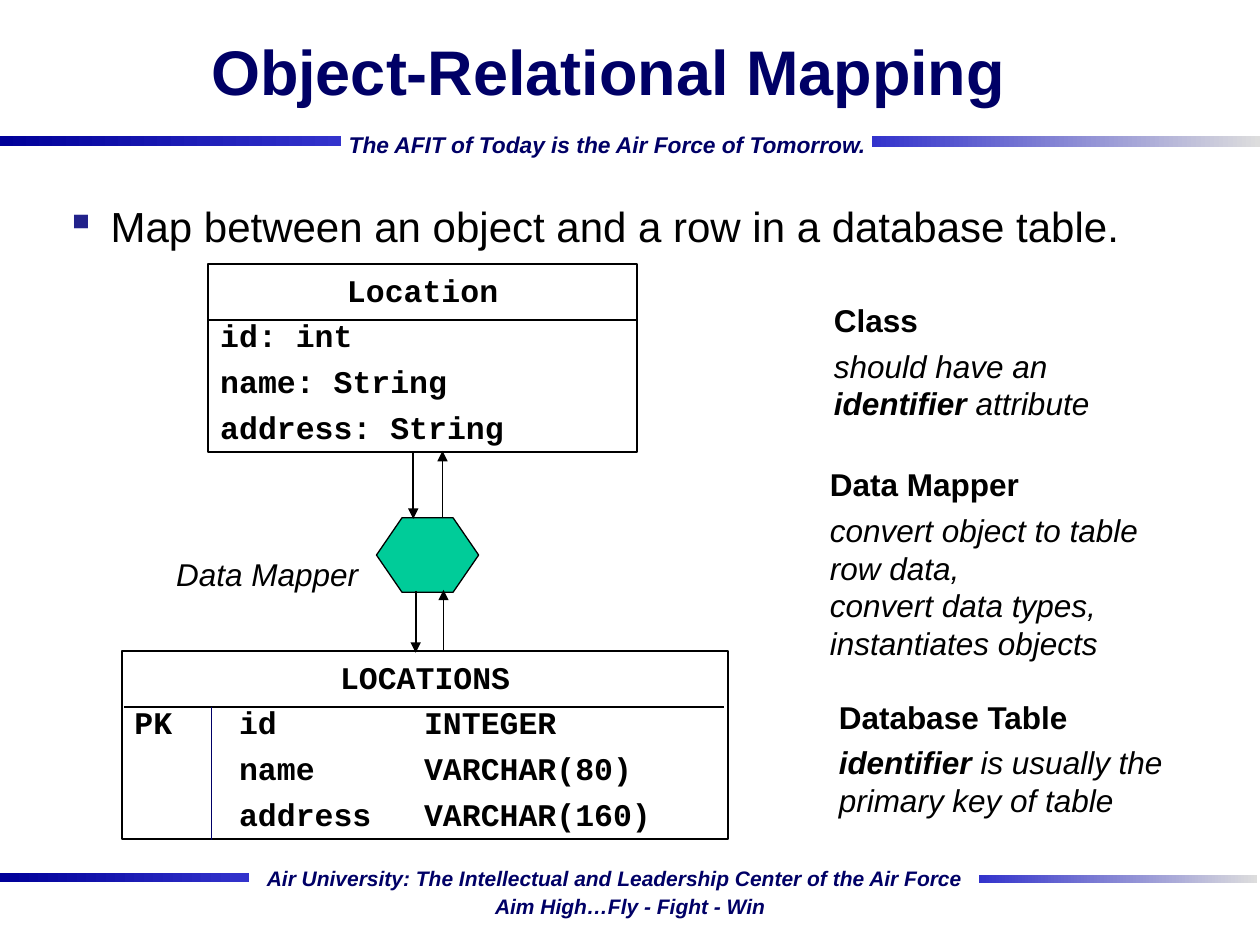
from dataclasses import dataclass

from lxml import etree
from pptx import Presentation
from pptx.dml.color import RGBColor
from pptx.enum.shapes import MSO_CONNECTOR, MSO_SHAPE
from pptx.enum.text import MSO_ANCHOR, PP_ALIGN
from pptx.oxml.ns import qn
from pptx.util import Cm, Pt

LEFT, MID, RIGHT = PP_ALIGN.LEFT, PP_ALIGN.CENTER, PP_ALIGN.RIGHT
TOP, CENTER = MSO_ANCHOR.TOP, MSO_ANCHOR.MIDDLE
RECT, HEX = MSO_SHAPE.RECTANGLE, MSO_SHAPE.HEXAGON
STRAIGHT = MSO_CONNECTOR.STRAIGHT


@dataclass(frozen=True)
class Theme:
    sans: str = "Arial"
    mono: str = "Courier New"
    ink: str = "000000"
    navy: str = "000066"
    deep: str = "000099"
    blue: str = "3333CC"
    pale: str = "DDDDDD"
    green: str = "00CC99"
    dot: str = "22228B"
    title: float = 36
    body: float = 24
    label: float = 18
    motto: float = 13
    foot: float = 12
    gap: float = 4.5


T = Theme()


@dataclass(frozen=True)
class Area:
    """Left, top, width and height in centimetres."""
    x: float
    y: float
    w: float
    h: float

    def cm(self) -> tuple:
        return Cm(self.x), Cm(self.y), Cm(self.w), Cm(self.h)


@dataclass(frozen=True)
class Para:
    """Text, or a tuple of (text, bold) runs, with its style."""
    text: str | tuple
    size: float = T.label
    face: str = T.sans
    color: str = T.ink
    bold: bool = False
    ital: bool = False
    align: int = LEFT
    tabs: tuple = ()
    dot: str = ""


def rgb(code: str) -> RGBColor:
    return RGBColor.from_string(code)


def add_tag(parent, tag: str, **attrs):
    return etree.SubElement(parent, qn(tag), attrs)


def write(frame, paras: list, anchor=TOP, wrap: bool = True) -> None:
    frame.word_wrap = wrap
    frame.vertical_anchor = anchor
    for i, item in enumerate(paras):
        para = frame.add_paragraph() if i else frame.paragraphs[0]
        props = para._p.get_or_add_pPr()
        if item.dot:
            props.set("marL", str(Cm(0.91)))
            props.set("indent", str(-Cm(0.91)))
            add_tag(add_tag(props, "a:buClr"), "a:srgbClr", val=T.dot)
            add_tag(props, "a:buChar", char=item.dot)
        if item.tabs:
            stops = add_tag(props, "a:tabLst")
            for pos in item.tabs:
                add_tag(stops, "a:tab", pos=str(Cm(pos)), algn="l")
        para.alignment = item.align
        para.space_before = Pt(T.gap)
        font = para.font
        font.name, font.size = item.face, Pt(item.size)
        font.bold, font.italic = item.bold, item.ital
        font.color.rgb = rgb(item.color)
        if isinstance(item.text, str):
            para.text = item.text
        else:
            for text, bold in item.text:
                run = para.add_run()
                run.text, run.font.bold = text, bold


def add_text(slide, area: Area, paras: list, anchor=TOP, wrap: bool = True) -> None:
    write(slide.shapes.add_textbox(*area.cm()).text_frame, paras, anchor, wrap)


def add_bar(slide, area: Area, start: str, end: str) -> None:
    bar = slide.shapes.add_shape(RECT, *area.cm())
    bar.shadow.inherit = False
    bar.line.fill.background()
    bar.fill.gradient()
    bar.fill.gradient_angle = 0
    for stop, code in zip(bar.fill.gradient_stops, (start, end)):
        stop.color.rgb = rgb(code)


def add_form(slide, kind: int, area: Area, width: float, fill: str = ""):
    form = slide.shapes.add_shape(kind, *area.cm())
    form.shadow.inherit = False
    form.line.color.rgb = rgb(T.ink)
    form.line.width = Pt(width)
    if fill:
        form.fill.solid()
        form.fill.fore_color.rgb = rgb(fill)
    else:
        form.fill.background()
    return form


def add_line(slide, x1: float, y1: float, x2: float, y2: float,
             color: str = T.ink, width: float = 0.75, arrow: bool = False) -> None:
    line = slide.shapes.add_connector(STRAIGHT, Cm(x1), Cm(y1), Cm(x2), Cm(y2))
    line.line.color.rgb = rgb(color)
    line.line.width = Pt(width)
    if arrow:
        add_tag(line.line._get_or_add_ln(), "a:tailEnd", type="triangle")
    add_tag(line._element.spPr, "a:effectLst")


def add_frame(slide) -> None:
    """Bars and mottos around the content."""
    for area in (Area(0, 2.74, 6.88, 0.2), Area(0, 17.6, 5.03, 0.18)):
        add_bar(slide, area, T.deep, T.blue)
    for area in (Area(17.58, 2.74, 7.82, 0.23), Area(19.74, 17.63, 5.61, 0.18)):
        add_bar(slide, area, T.blue, T.pale)
    for area, text, size in (
        (Area(6.78, 2.51, 11.05, 0.79),
         "The AFIT of Today is the Air Force of Tomorrow.", T.motto),
        (Area(5.13, 17.32, 14.63, 0.74),
         "Air University: The Intellectual and Leadership Center of the Air Force", T.foot),
        (Area(9.73, 17.88, 5.99, 0.74), "Aim High…Fly - Fight - Win", T.foot),
    ):
        add_text(slide, area, [Para(text, size, color=T.navy, bold=True, ital=True)],
                 wrap=False)


def add_card(slide, area: Area, head: str, rows: list, tabs: tuple = ()) -> None:
    """Box with a centred heading and rows of code."""
    card = add_form(slide, RECT, area, 1)
    paras = [Para(head, face=T.mono, bold=True, align=MID)]
    paras += [Para(row, face=T.mono, bold=True, tabs=tabs) for row in rows]
    write(card.text_frame, paras, CENTER)


def add_note(slide, area: Area, head: str, text: str | tuple) -> None:
    add_text(slide, area, [Para(head, bold=True), Para(text, ital=True)])


def main() -> None:
    deck = Presentation()
    deck.slide_width, deck.slide_height = Cm(25.4), Cm(19.05)
    slide = deck.slides.add_slide(deck.slide_layouts[6])
    add_frame(slide)

    # Title and bullet
    add_text(slide, Area(1.47, 0, 21.59, 2.84),
             [Para("Object-Relational Mapping", T.title, color=T.navy,
                   bold=True, align=MID)], CENTER)
    add_text(slide, Area(1.07, 3.61, 22.83, 1.9),
             [Para("Map between an object and a row in a database table.",
                   T.body, dot="▪")], CENTER)

    # Class and table cards with their rules
    add_card(slide, Area(4.19, 5.33, 8.66, 3.78), "Location",
             ["id: int", "name: String", "address: String"])
    add_line(slide, 4.19, 6.45, 12.85, 6.45)
    add_card(slide, Area(2.46, 13.13, 12.22, 3.78), "LOCATIONS",
             ["PK\tid\tINTEGER", "\tname\tVARCHAR(80)", "\taddress\tVARCHAR(160)"],
             (2.11, 5.84))
    add_line(slide, 2.51, 14.25, 14.6, 14.25)
    add_line(slide, 4.27, 14.25, 4.27, 16.94, T.navy)

    # Mapper with arrows down and up
    mapper = add_form(slide, HEX, Area(7.59, 10.44, 2.06, 1.5), 0.75, T.green)
    mapper.adjustments[0] = 0.343
    for x, start, end in ((8.33, 9.12, 10.46), (8.38, 11.91, 13.16),
                          (8.92, 10.44, 9.09), (8.94, 13.13, 11.89)):
        add_line(slide, x, start, x, end, width=1, arrow=True)
    add_text(slide, Area(1.65, 11.07, 5.82, 1.02),
             [Para("Data Mapper", ital=True, align=RIGHT)])

    # Notes on the right
    add_note(slide, Area(16.56, 5.94, 6.81, 2.69), "Class",
             (("should have an ", False), ("identifier", True), (" attribute", False)))
    add_note(slide, Area(16.48, 9.25, 6.81, 4.22), "Data Mapper",
             "convert object to table row data, \vconvert data types, instantiates objects")
    add_note(slide, Area(16.66, 13.94, 7.24, 2.72), "Database Table",
             (("identifier", True), (" is usually the primary key of table", False)))

    deck.save("out.pptx")


if __name__ == "__main__":
    main()
